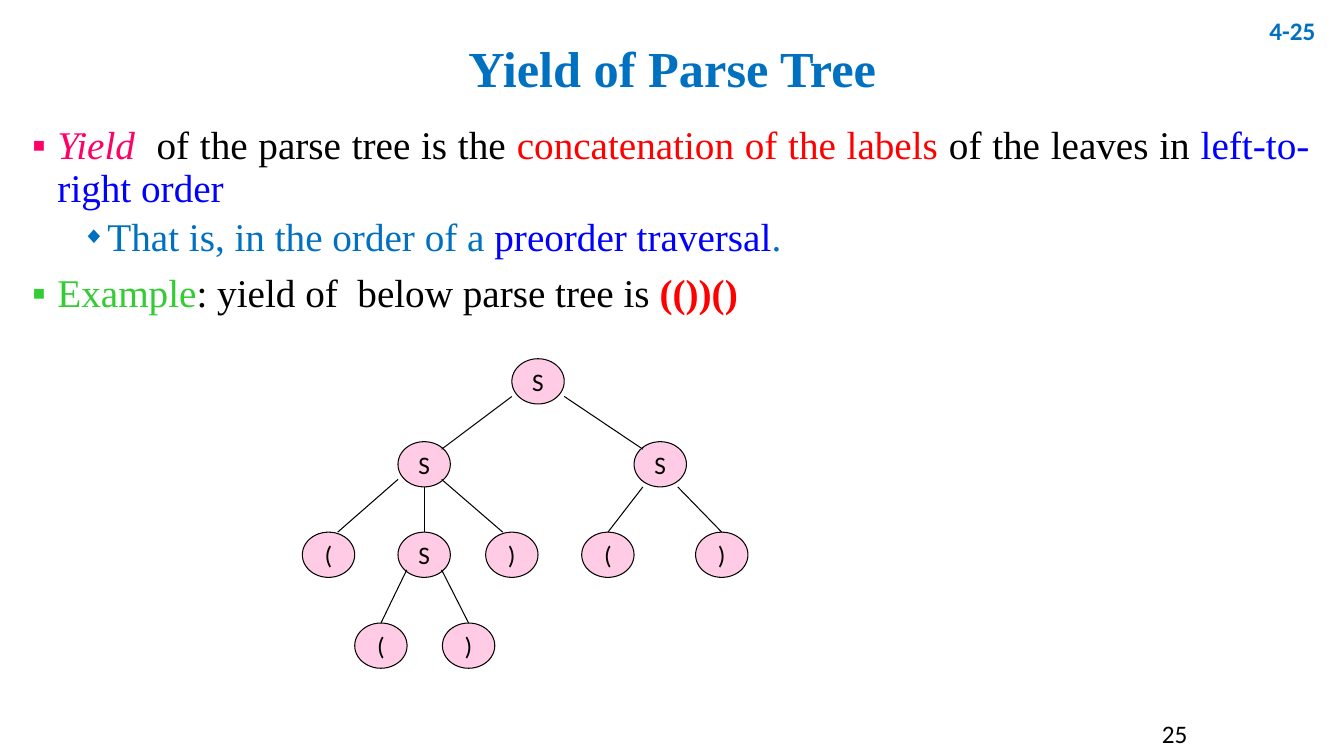
from lxml import etree
from pptx import Presentation
from pptx import util as u
from pptx.dml.color import RGBColor
from pptx.enum import shapes, text
from pptx.oxml.ns import qn

SERIF, SANS = "Times New Roman", "Calibri"
BLACK, RED, BLUE, SKY = "000000", "FF0000", "0000FF", "0070C0"
PINK, MAGENTA, GREEN = "FF99CC", "FF0066", "33CC33"


def colour(value):
    return RGBColor.from_string(value)


class TreeSlide:
    node_width, node_height = 1.32, 1.14

    def __init__(self, deck):
        self.page = deck.slides.add_slide(deck.slide_layouts[5])

    def style(self, span, size, face, ink, bold=False, italic=False):
        span.font.size = u.Pt(size)
        span.font.name = face
        span.font.color.rgb = colour(ink)
        span.font.bold = bold
        span.font.italic = italic

    def place(self, box, left, top, width, height):
        box.left, box.top = u.Cm(left), u.Cm(top)
        box.width, box.height = u.Cm(width), u.Cm(height)

    def title(self, words, *area):
        box = self.page.shapes.title
        self.place(box, *area)
        frame = box.text_frame
        frame.text = words
        frame.vertical_anchor = text.MSO_ANCHOR.MIDDLE
        para = frame.paragraphs[0]
        para.alignment = text.PP_ALIGN.CENTER
        para.line_spacing = 0.9
        self.style(para.runs[0], 36, SERIF, SKY, bold=True)

    def text_box(self, *area):
        box = self.page.shapes.add_textbox(*map(u.Cm, area))
        box.text_frame.word_wrap = True
        return box.text_frame

    def label(self, words, area, ink, bold, align, anchor):
        frame = self.text_box(*area)
        frame.text = words
        frame.vertical_anchor = anchor
        frame.paragraphs[0].alignment = align
        self.style(frame.paragraphs[0].runs[0], 18, SANS, ink, bold)

    def bullet(self, para, mark, ink, scale, indent):
        props = para._p.get_or_add_pPr()
        props.set("marL", str(u.Cm(indent)))
        props.set("indent", str(-u.Cm(0.64)))
        tint = etree.SubElement(props, qn("a:buClr"))
        etree.SubElement(tint, qn("a:srgbClr"), val=ink)
        etree.SubElement(props, qn("a:buSzPct"), val=str(scale * 1000))
        etree.SubElement(props, qn("a:buFont"), typeface="Arial")
        etree.SubElement(props, qn("a:buChar"), char=mark)

    def outline(self, items, *area):
        frame = self.text_box(*area)
        for index, (level, spans) in enumerate(items):
            para = frame.add_paragraph() if index else frame.paragraphs[0]
            para.level = level
            para.alignment = text.PP_ALIGN.JUSTIFY
            para.line_spacing = 0.9
            para.space_before = u.Pt((5 if level else 10) if index else 0)
            mark, scale, indent = ("◆", 60, 1.9) if level else ("▪", 100, 0.64)
            self.bullet(para, mark, spans[0][1], scale, indent)
            for words, ink, *emphasis in spans:
                span = para.add_run()
                span.text = words
                self.style(span, 28, SERIF, ink, "bold" in emphasis, "italic" in emphasis)

    def node(self, symbol, x, y):
        oval = self.page.shapes.add_shape(
            shapes.MSO_SHAPE.OVAL,
            u.Cm(x - self.node_width / 2), u.Cm(y - self.node_height / 2),
            u.Cm(self.node_width), u.Cm(self.node_height))
        oval.shadow.inherit = False
        oval.fill.solid()
        oval.fill.fore_color.rgb = colour(PINK)
        tint = oval.fill._xPr.find(".//" + qn("a:srgbClr"))
        etree.SubElement(tint, qn("a:alpha"), val="50000")
        oval.line.color.rgb = colour(BLACK)
        oval.line.width = u.Pt(0.75)
        frame = oval.text_frame
        frame.text = symbol
        frame.word_wrap = False
        frame.vertical_anchor = text.MSO_ANCHOR.MIDDLE
        frame.paragraphs[0].alignment = text.PP_ALIGN.CENTER
        self.style(frame.paragraphs[0].runs[0], 18, SANS, BLACK)

    def branch(self, parent, child, start, end):
        line = self.page.shapes.add_connector(
            shapes.MSO_CONNECTOR.STRAIGHT,
            u.Cm(parent[0] + start[0]), u.Cm(parent[1] + start[1]),
            u.Cm(child[0] + end[0]), u.Cm(child[1] + end[1]))
        line.line.color.rgb = colour(BLACK)
        line.line.width = u.Pt(0.75)
        etree.SubElement(line._element.spPr, qn("a:effectLst"))


def main():
    deck = Presentation()
    deck.slide_width, deck.slide_height = u.Cm(33.87), u.Cm(19.05)
    slide = TreeSlide(deck)

    slide.label("4-25", (31.14, 0, 2.26, 1.52), SKY, True,
                text.PP_ALIGN.RIGHT, text.MSO_ANCHOR.MIDDLE)
    slide.title("Yield of Parse Tree", 2.34, 0.74, 29.21, 2.13)
    slide.outline([
        (0, [("Yield  ", MAGENTA, "italic"), ("of the parse tree is the ", BLACK),
             ("concatenation of the labels", RED), (" of the leaves in", BLACK),
             (" left-to-right order", BLUE)]),
        (1, [("That is, in the order of a ", SKY), ("preorder traversal", BLUE), (".", SKY)]),
        (0, [("Example", GREEN), (": yield of  below parse tree is ", BLACK),
             ("(())()", RED, "bold")]),
    ], 0.56, 3.05, 32.69, 14.12)
    slide.label("25", (29.03, 17.98, 2.44, 0.76), BLACK, False,
                text.PP_ALIGN.LEFT, text.MSO_ANCHOR.TOP)

    rows = [9.61, 11.7, 13.98, 16.27]
    nodes = {
        "root": ("S", 13.56, 0),
        "left": ("S", 10.69, 1),
        "right": ("S", 16.64, 1),
        "left open": ("(", 8.28, 2),
        "inner": ("S", 10.69, 2),
        "left close": (")", 12.9, 2),
        "right open": ("(", 15.32, 2),
        "right close": (")", 18.19, 2),
        "inner open": ("(", 9.6, 3),
        "inner close": (")", 11.81, 3),
    }
    centres = {name: (x, rows[row]) for name, (_, x, row) in nodes.items()}
    for name, (symbol, _, _) in nodes.items():
        slide.node(symbol, *centres[name])

    shoulder, edge = 0.38, 0.57
    branches = [
        ("root", "left", (-0.66, shoulder), (0.44, -shoulder)),
        ("root", "right", (0.66, shoulder), (-0.44, -shoulder)),
        ("left", "left open", (-0.66, shoulder), (0.23, -edge)),
        ("left", "inner", (0, edge), (0, -edge)),
        ("left", "left close", (0.44, shoulder), (-0.23, -edge)),
        ("inner", "inner open", (-0.44, shoulder), (0, -edge)),
        ("inner", "inner close", (0.44, shoulder), (0, -edge)),
        ("right", "right open", (-0.44, edge), (0, -edge)),
        ("right", "right close", (0.44, edge), (0, -edge)),
    ]
    for parent, child, start, end in branches:
        slide.branch(centres[parent], centres[child], start, end)

    deck.save("out.pptx")


if __name__ == "__main__":
    main()
